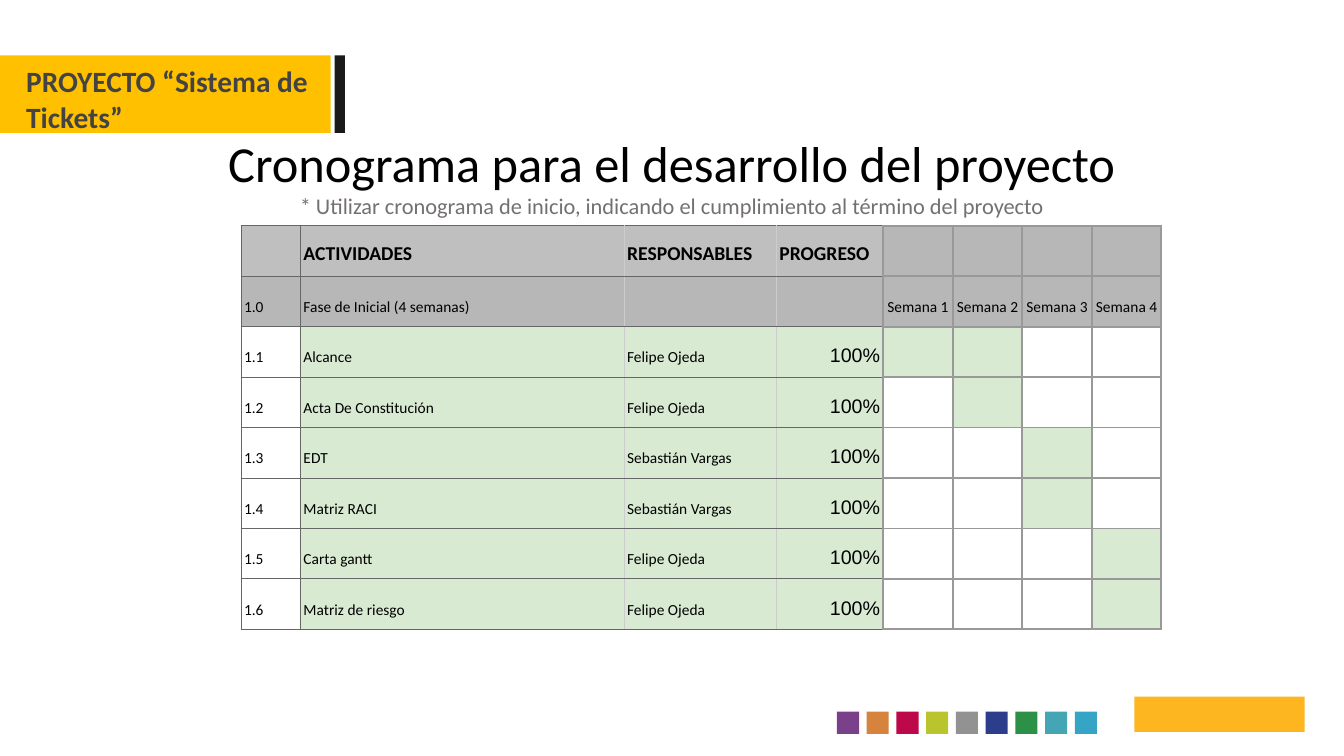
from lxml import etree
from pptx import Presentation, util as u
from pptx.dml.color import RGBColor
from pptx.enum import shapes, text
from pptx.oxml import ns

COLORS = {
    "amber": "FFC000", "bar": "1A1A1A", "heading": "434343", "black": "000000",
    "note": "757070", "logo": "FEB620", "white": "FFFFFF", "done": "D9EAD3",
    "header": "BFBFBF", "phase": "B7B7B7",
    "dark_edge": "666666", "light_edge": "CCCCCC", "week_edge": "999999",
}
STRIP = ["7B408A", "D6843D", "BD0949", "BAC52E", "929292",
         "2C3E8B", "2C9146", "44A6B5", "35A4C5"]

PROJECT = "PROYECTO “Sistema de Tickets”"
TITLE = "Cronograma para el desarrollo del proyecto"
NOTE = "* Utilizar cronograma de inicio, indicando el cumplimiento al término del proyecto"

HEADINGS = ["", "ACTIVIDADES", "RESPONSABLES", "PROGRESO"]
PHASE = ["1.0", "Fase de Inicial (4 semanas)", "", ""]
WEEKS = ["Semana 1", "Semana 2", "Semana 3", "Semana 4"]
ACTIVITIES = [  # number, activity, owner, progress, weeks worked
    ("1.1", "Alcance", "Felipe Ojeda", "100%", {1, 2}),
    ("1.2", "Acta De Constitución", "Felipe Ojeda", "100%", {2}),
    ("1.3", "EDT", "Sebastián Vargas", "100%", {3}),
    ("1.4", "Matriz RACI", "Sebastián Vargas", "100%", {3}),
    ("1.5", "Carta gantt", "Felipe Ojeda", "100%", {4}),
    ("1.6", "Matriz de riesgo", "Felipe Ojeda", "100%", {4}),
]
COLUMN_WIDTHS = [0.59, 3.21, 1.51, 1.06] + [0.69] * len(WEEKS)
ROW_HEIGHT = 0.5
PROGRESS_COLUMN = 3
FIRST_WEEK_COLUMN = 4


def add_block(page, left, top, width, height, color):
    block = page.shapes.add_shape(
        shapes.MSO_SHAPE.RECTANGLE,
        *(u.Inches(length) for length in (left, top, width, height)))
    block.shadow.inherit = False
    block.fill.solid()
    block.fill.fore_color.rgb = RGBColor.from_string(color)
    block.line.fill.background()


def add_text_box(page, left, top, width, height):
    box = page.shapes.add_textbox(
        *(u.Inches(length) for length in (left, top, width, height)))
    box.text_frame.word_wrap = True
    return box.text_frame


def write(para, words, size, color, bold=False, font="Calibri"):
    para.text = words
    for span in para.runs:
        span.font.name = font
        span.font.size = u.Pt(size)
        span.font.bold = bold
        span.font.color.rgb = RGBColor.from_string(COLORS[color])


def set_borders(cell, column):
    """Line the week grid heavily and the activity columns finely."""
    if column >= FIRST_WEEK_COLUMN:
        edges = dict.fromkeys("LRTB", ("week_edge", 1.5))
    else:
        dark, light = ("dark_edge", 0.75), ("light_edge", 0.75)
        edges = {
            "L": dark if column < 2 else light,
            "R": {0: dark, PROGRESS_COLUMN: ("week_edge", 1.5)}.get(column, light),
            "T": dark,
            "B": dark,
        }
    properties = cell._tc.get_or_add_tcPr()
    for side, (color, points) in edges.items():
        line = etree.SubElement(properties, ns.qn(f"a:ln{side}"), w=str(u.Pt(points)))
        fill = etree.SubElement(line, ns.qn("a:solidFill"))
        etree.SubElement(fill, ns.qn("a:srgbClr"), val=COLORS[color])


def cell_fill(row, column):
    if row == 0:
        return "header" if column < FIRST_WEEK_COLUMN else "phase"
    if row == 1:
        return "phase"
    if column == 0:
        return "white"
    week = column - FIRST_WEEK_COLUMN + 1
    worked = ACTIVITIES[row - 2][-1]
    return "done" if week < 1 or week in worked else "white"


def format_cell(cell, words, row, column):
    set_borders(cell, column)
    cell.fill.solid()
    cell.fill.fore_color.rgb = RGBColor.from_string(COLORS[cell_fill(row, column)])
    cell.vertical_anchor = text.MSO_ANCHOR.BOTTOM
    cell.margin_left = cell.margin_right = u.Inches(0.03)
    cell.margin_top = cell.margin_bottom = u.Inches(0.1)
    para = cell.text_frame.paragraphs[0]
    para.line_spacing = 1.15
    is_progress = row > 1 and column == PROGRESS_COLUMN
    if is_progress:
        para.alignment = text.PP_ALIGN.RIGHT
    elif column >= FIRST_WEEK_COLUMN:
        para.alignment = text.PP_ALIGN.CENTER
    write(para, words, 14 if row == 0 or is_progress else 11, "black",
          bold=row == 0, font="Arial" if is_progress else "Calibri")


def add_schedule(page, left, top):
    blanks = [""] * len(WEEKS)
    rows = [HEADINGS + blanks, PHASE + WEEKS]
    rows += [list(activity[:-1]) + blanks for activity in ACTIVITIES]
    table = page.shapes.add_table(
        len(rows), len(COLUMN_WIDTHS), u.Inches(left), u.Inches(top),
        u.Inches(sum(COLUMN_WIDTHS)), u.Inches(ROW_HEIGHT * len(rows))).table
    table.first_row = table.horz_banding = False
    for column, width in zip(table.columns, COLUMN_WIDTHS):
        column.width = u.Inches(width)
    for r, row in enumerate(rows):
        table.rows[r].height = u.Inches(ROW_HEIGHT)
        for c, words in enumerate(row):
            format_cell(table.cell(r, c), words, r, c)


def main():
    deck = Presentation()
    deck.slide_width, deck.slide_height = u.Inches(13.33), u.Inches(7.5)
    page = deck.slides.add_slide(deck.slide_layouts[6])

    add_block(page, 0, 0.55, 3.28, 0.77, COLORS["amber"])
    add_block(page, 3.32, 0.55, 0.1, 0.77, COLORS["bar"])
    add_block(page, 11.25, 6.91, 1.69, 0.35, COLORS["logo"])
    for i, color in enumerate(STRIP):
        add_block(page, 8.3 + 0.295 * i, 7.06, 0.22, 0.22, color)

    title = add_text_box(page, 0, 1.26, 13.33, 0.98)
    write(title.paragraphs[0], TITLE, 36, "black")
    write(title.add_paragraph(), NOTE, 16, "note")
    for para in title.paragraphs:
        para.alignment = text.PP_ALIGN.CENTER

    project = add_text_box(page, 0.26, 0.63, 2.88, 0.71)
    project.margin_left = project.margin_right = 0
    project.margin_top = project.margin_bottom = 0
    write(project.paragraphs[0], PROJECT, 21, "heading", bold=True)

    add_schedule(page, 2.39, 2.24)
    deck.save("out.pptx")


if __name__ == "__main__":
    main()
